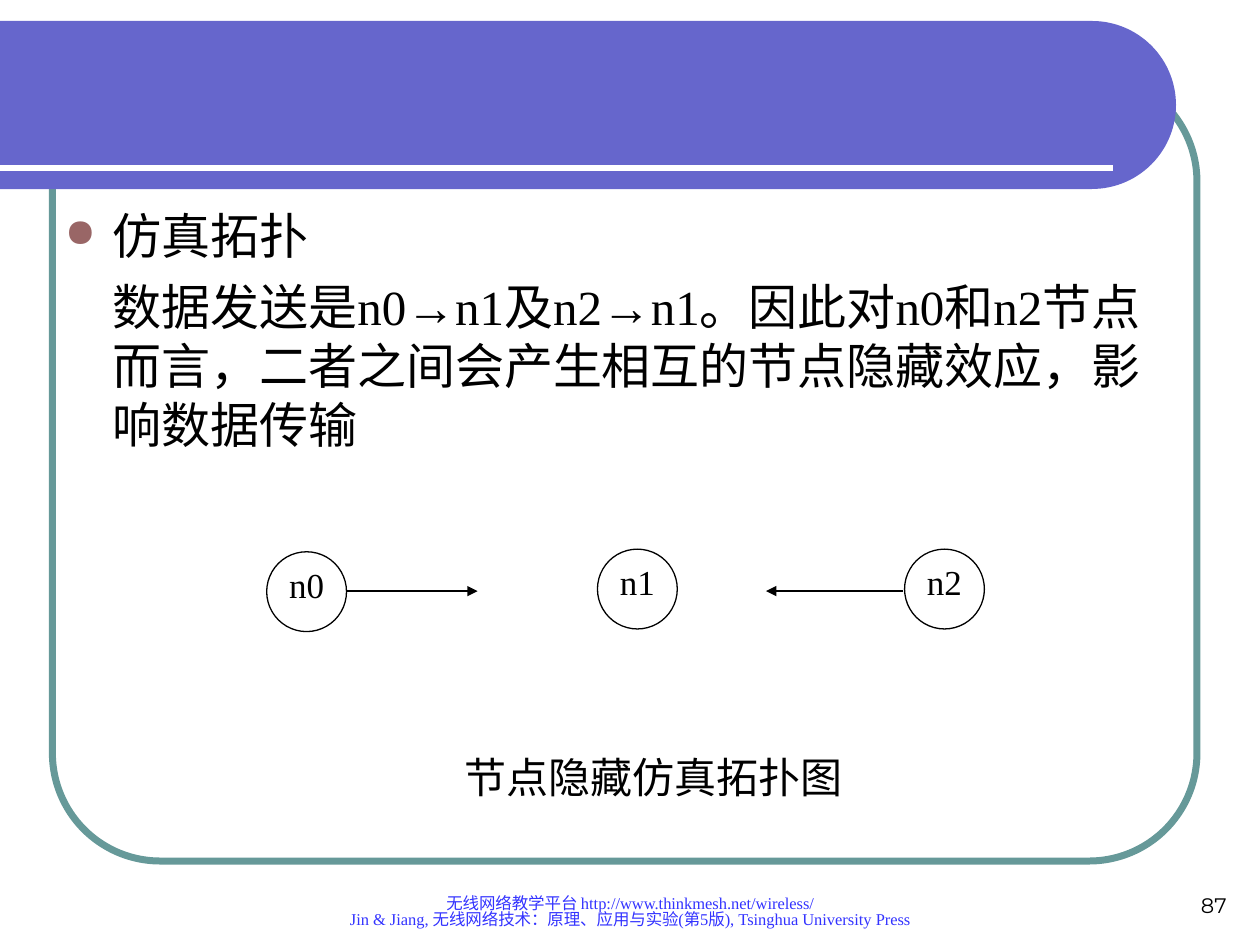
from math import cos, pi, sin

from lxml.etree import SubElement
from pptx import Presentation
from pptx.dml.color import RGBColor
from pptx.enum.shapes import MSO_CONNECTOR, MSO_SHAPE
from pptx.enum.text import MSO_ANCHOR, PP_ALIGN
from pptx.oxml.ns import qn
from pptx.util import Inches, Pt

COLORS = {
    "banner": "6666CC",
    "frame": "669999",
    "bullet": "996666",
    "footer": "3333FF",
    "ink": "000000",
    "paper": "FFFFFF",
}
COLUMNS, ROWS = 24, 18


class SlideBuilder:
    """Holds the deck, its current slide and a 24 by 18 layout grid."""

    def __init__(self, width, height):
        self.deck = Presentation()
        self.deck.slide_width, self.deck.slide_height = Inches(width), Inches(height)
        self.slide = self.deck.slides.add_slide(self.deck.slide_layouts[6])
        self.shapes = self.slide.shapes

    def point(self, column, row):
        return (round(self.deck.slide_width * column / COLUMNS),
                round(self.deck.slide_height * row / ROWS))

    def color(self, name):
        return RGBColor.from_string(COLORS[name])

    def paint(self, shape, fill=None, line=None, weight=0.75):
        shape.shadow.inherit = False
        if fill:
            shape.fill.solid()
            shape.fill.fore_color.rgb = self.color(fill)
        else:
            shape.fill.background()
        if line:
            shape.line.color.rgb = self.color(line)
            shape.line.width = Pt(weight)
        else:
            shape.line.fill.background()

    def frame(self, column, row, columns, rows, rounding):
        shape = self.shapes.add_shape(MSO_SHAPE.ROUNDED_RECTANGLE,
                                      *self.point(column, row), *self.point(columns, rows))
        shape.adjustments[0] = rounding
        self.paint(shape, line="frame", weight=4)

    def banner(self, row, radius, straight, steps=60):
        angles = [pi * step / steps - pi / 2 for step in range(steps + 1)]
        arc = [self.point(straight + radius * cos(angle), row + radius + radius * sin(angle))
               for angle in angles]
        builder = self.shapes.build_freeform(*self.point(0, row))
        builder.add_line_segments(arc + [self.point(0, row + 2 * radius)])
        self.paint(builder.convert_to_shape(), fill="banner")

    def line(self, start, end, color, weight=0.75, arrow=False):
        connector = self.shapes.add_connector(MSO_CONNECTOR.STRAIGHT,
                                              *self.point(*start), *self.point(*end))
        connector.line.color.rgb = self.color(color)
        connector.line.width = Pt(weight)
        if arrow:
            SubElement(connector.line._get_or_add_ln(), qn("a:tailEnd"), type="triangle")
        SubElement(connector._element.spPr, qn("a:effectLst"))

    def style(self, para, size, color="ink", font="Times New Roman"):
        para.font.size = Pt(size)
        para.font.name = font
        para.font.color.rgb = self.color(color)

    def node(self, label, column, row, size):
        shape = self.shapes.add_shape(MSO_SHAPE.OVAL,
                                      *self.point(column, row), *self.point(size, size))
        self.paint(shape, fill="paper", line="ink")
        frame = shape.text_frame
        frame.margin_left = frame.margin_right = frame.margin_top = frame.margin_bottom = 0
        frame.vertical_anchor = MSO_ANCHOR.TOP
        para = frame.paragraphs[0]
        para.text = label
        para.alignment = PP_ALIGN.CENTER
        self.style(para, 20)

    def text(self, lines, column, row, columns, rows, size, color="ink",
             font="Times New Roman", align=PP_ALIGN.LEFT, anchor=MSO_ANCHOR.TOP,
             spacing=None, wrap=True):
        box = self.shapes.add_textbox(*self.point(column, row), *self.point(columns, rows))
        frame = box.text_frame
        frame.word_wrap = wrap
        frame.vertical_anchor = anchor
        for index, line in enumerate(lines):
            para = frame.add_paragraph() if index else frame.paragraphs[0]
            para.text = line
            para.alignment = align
            para.line_spacing = spacing
            self.style(para, size, color, font)

    def body(self, heading, detail, column, row, columns, rows):
        box = self.shapes.add_textbox(*self.point(column, row), *self.point(columns, rows))
        frame = box.text_frame
        frame.word_wrap = True
        first, second = frame.paragraphs[0], frame.add_paragraph()
        second.space_before = Pt(7)
        indent = Inches(0.38)
        for para, content in ((first, heading), (second, detail)):
            para.text = content
            para._p.get_or_add_pPr().set("marL", str(indent))
        properties = first._p.get_or_add_pPr()
        properties.set("indent", str(-indent))
        bullet_color = SubElement(properties, qn("a:buClr"))
        SubElement(bullet_color, qn("a:srgbClr"), val=COLORS["bullet"])
        SubElement(properties, qn("a:buSzPct"), val="80000")
        SubElement(properties, qn("a:buChar"), char="●")
        for para in (first, second):
            self.style(para, 28)


def main():
    page = SlideBuilder(10, 7.5)
    page.frame(1, 1.4, 21.8, 15, rounding=0.137)
    page.banner(row=0.4, radius=1.6, straight=20.8)
    page.line((0, 3.2), (21.2, 3.2), "paper", weight=3)
    page.text(["87"], 18, 16.4, 5.6, 1.2, size=12, font="Montserrat",
              align=PP_ALIGN.RIGHT, anchor=MSO_ANCHOR.BOTTOM)

    for label, column, row in (("n0", 5.08, 10.51), ("n1", 11.38, 10.46), ("n2", 17.23, 10.46)):
        page.node(label, column, row, size=1.52)
    for start, end in ((6.59, 9.1), (17.21, 14.59)):
        page.line((start, 11.26), (end, 11.26), "ink", arrow=True)
    page.text(["节点隐藏仿真拓扑图"], 8.62, 14.2, 7.68, 1.2, size=24, wrap=False)

    page.body("仿真拓扑",
              "数据发送是n0→n1及n2→n1。因此对n0和n2节点而言，二者之间会产生相互的节点隐藏效应，影响数据传输",
              1, 3.8, 21.4, 6.2)
    page.text(["无线网络教学平台 http://www.thinkmesh.net/wireless/",
               "Jin & Jiang, 无线网络技术：原理、应用与实验(第5版), Tsinghua University Press"],
              2, 16.8, 20, 1, size=9.4, color="footer", align=PP_ALIGN.CENTER,
              anchor=MSO_ANCHOR.BOTTOM, spacing=0.8)
    page.deck.save("out.pptx")


if __name__ == "__main__":
    main()
